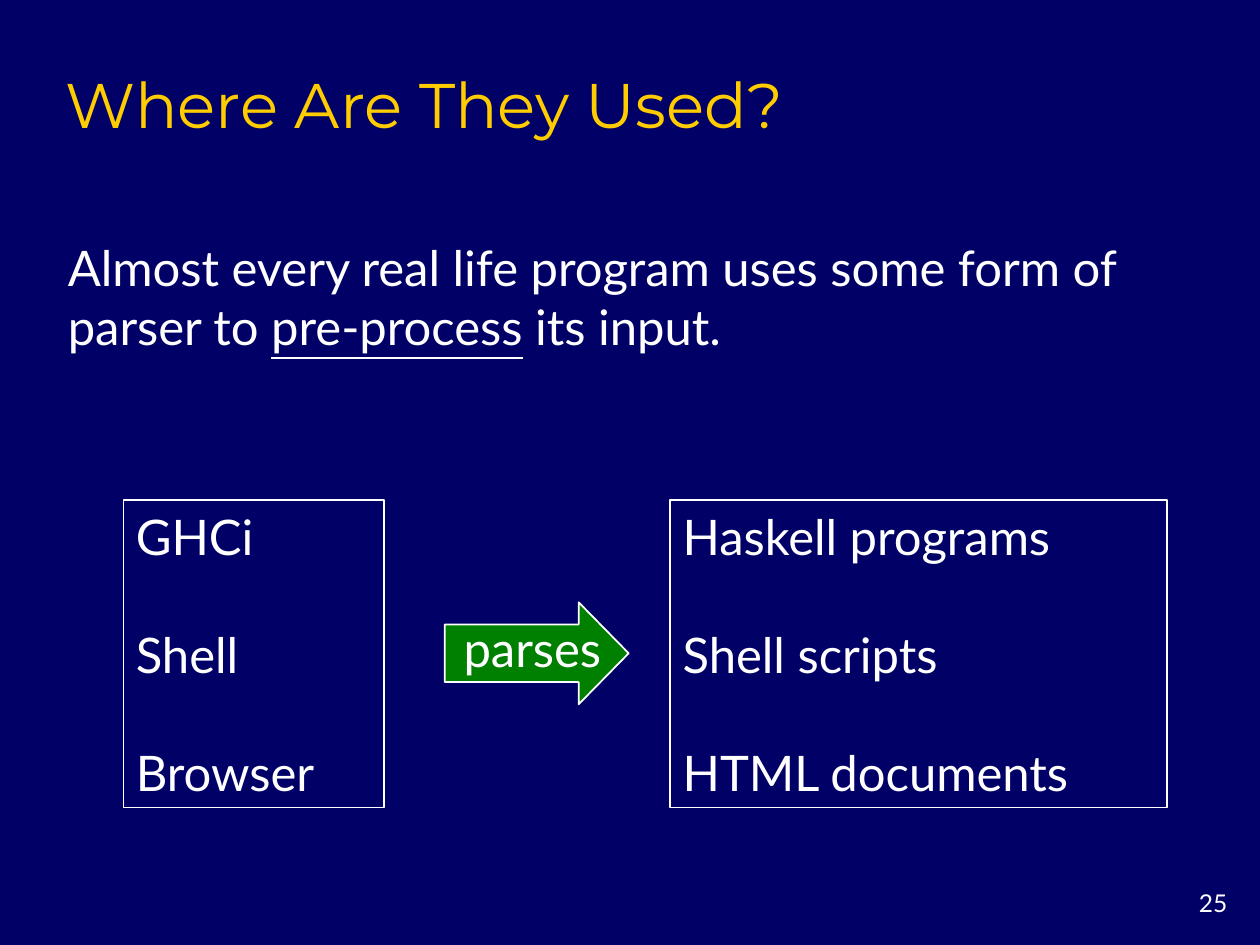
from dataclasses import dataclass

from pptx import Presentation
from pptx.dml.color import RGBColor
from pptx.enum.shapes import MSO_SHAPE
from pptx.enum.text import MSO_ANCHOR, PP_ALIGN
from pptx.util import Inches, Pt

RECTANGLE, RIGHT_ARROW = MSO_SHAPE.RECTANGLE, MSO_SHAPE.RIGHT_ARROW
TOP, MIDDLE, BOTTOM = MSO_ANCHOR.TOP, MSO_ANCHOR.MIDDLE, MSO_ANCHOR.BOTTOM
LEFT, CENTER, RIGHT = PP_ALIGN.LEFT, PP_ALIGN.CENTER, PP_ALIGN.RIGHT
NAVY, WHITE, GOLD, GREEN = "000066", "FFFFFF", "FFCC00", "008000"
BODY_SIZE = 28
ROW_GAP = 33.6
BOX_TOP, BOX_HEIGHT = 3.97, 2.44


@dataclass
class Label:
    """A block of text whose runs marked with underscores are underlined."""

    text: str
    at: tuple[float, float, float, float]
    size: int = BODY_SIZE
    font: str = "Lato"
    color: str = WHITE
    align: PP_ALIGN = LEFT
    anchor: MSO_ANCHOR = MIDDLE


@dataclass
class ListBox:
    """An outlined box with one entry per row."""

    left: float
    width: float
    entries: tuple[str, ...]


LABELS = (
    Label("25", (9.17, 7, 0.67, 0.33), size=14, align=RIGHT, anchor=TOP),
    Label("Where Are They Used?", (0.42, 0.42, 8.5, 0.75), size=36,
          font="Montserrat", color=GOLD, anchor=BOTTOM),
    Label("Almost every real life program uses some form of parser to "
          "_pre-process_ its input.", (0.44, 1.6, 8.74, 1.5)),
)
ARROW_LABEL = Label("parses", (3.57, 4.62, 1.31, 1.04), align=CENTER)
LIST_BOXES = (
    ListBox(5.32, 3.94, ("Haskell programs", "Shell scripts", "HTML documents")),
    ListBox(0.98, 2.07, ("GHCi", "Shell", "Browser")),
)


def rgb(value: str) -> RGBColor:
    """Turn a hex string into a colour."""
    return RGBColor.from_string(value)


def set_all(target, values: dict) -> None:
    """Set every attribute named in values on target."""
    for name, value in values.items():
        setattr(target, name, value)


def style_font(font, name: str, size: int, color: str) -> None:
    """Give a font its face, size and colour."""
    set_all(font, {"name": name, "size": Pt(size)})
    font.color.rgb = rgb(color)


def draw_label(slide, label: Label) -> None:
    """Draw a text box holding one label."""
    frame = slide.shapes.add_textbox(*map(Inches, label.at)).text_frame
    set_all(frame, {"word_wrap": True, "vertical_anchor": label.anchor})
    paragraph = frame.paragraphs[0]
    paragraph.alignment = label.align
    for index, part in enumerate(label.text.split("_")):
        run = paragraph.add_run()
        run.text = part
        style_font(run.font, label.font, label.size, label.color)
        if index % 2:
            run.font.underline = True


def draw_outlined(slide, kind: MSO_SHAPE, at: tuple[float, ...]):
    """Draw an unfilled preset shape with a thin white line."""
    shape = slide.shapes.add_shape(kind, *map(Inches, at))
    shape.shadow.inherit = False
    shape.fill.background()
    shape.line.color.rgb = rgb(WHITE)
    shape.line.width = Pt(1)
    return shape


def draw_list_box(slide, box: ListBox) -> None:
    """Draw a box and its evenly spaced entries."""
    shape = draw_outlined(slide, RECTANGLE, (box.left, BOX_TOP, box.width, BOX_HEIGHT))
    frame = shape.text_frame
    set_all(frame, {"word_wrap": True, "vertical_anchor": MIDDLE})
    for index, entry in enumerate(box.entries):
        paragraph = frame.add_paragraph() if index else frame.paragraphs[0]
        paragraph.alignment = LEFT
        if index:
            paragraph.space_before = Pt(ROW_GAP)
        run = paragraph.add_run()
        run.text = entry
        style_font(run.font, "Lato", BODY_SIZE, WHITE)


def draw_arrow(slide) -> None:
    """Draw the labelled arrow between the two boxes."""
    arrow = draw_outlined(slide, RIGHT_ARROW, (3.53, 4.78, 1.46, 0.81))
    arrow.fill.solid()
    arrow.fill.fore_color.rgb = rgb(GREEN)
    arrow.adjustments[0] = 0.565
    arrow.adjustments[1] = 0.49
    draw_label(slide, ARROW_LABEL)


def main() -> None:
    """Build the slide and save it."""
    deck = Presentation()
    set_all(deck, {"slide_width": Inches(10), "slide_height": Inches(7.5)})
    slide = deck.slides.add_slide(deck.slide_layouts[6])
    slide.background.fill.solid()
    slide.background.fill.fore_color.rgb = rgb(NAVY)
    for label in LABELS:
        draw_label(slide, label)
    for box in LIST_BOXES:
        draw_list_box(slide, box)
    draw_arrow(slide)
    deck.save("out.pptx")


if __name__ == "__main__":
    main()
